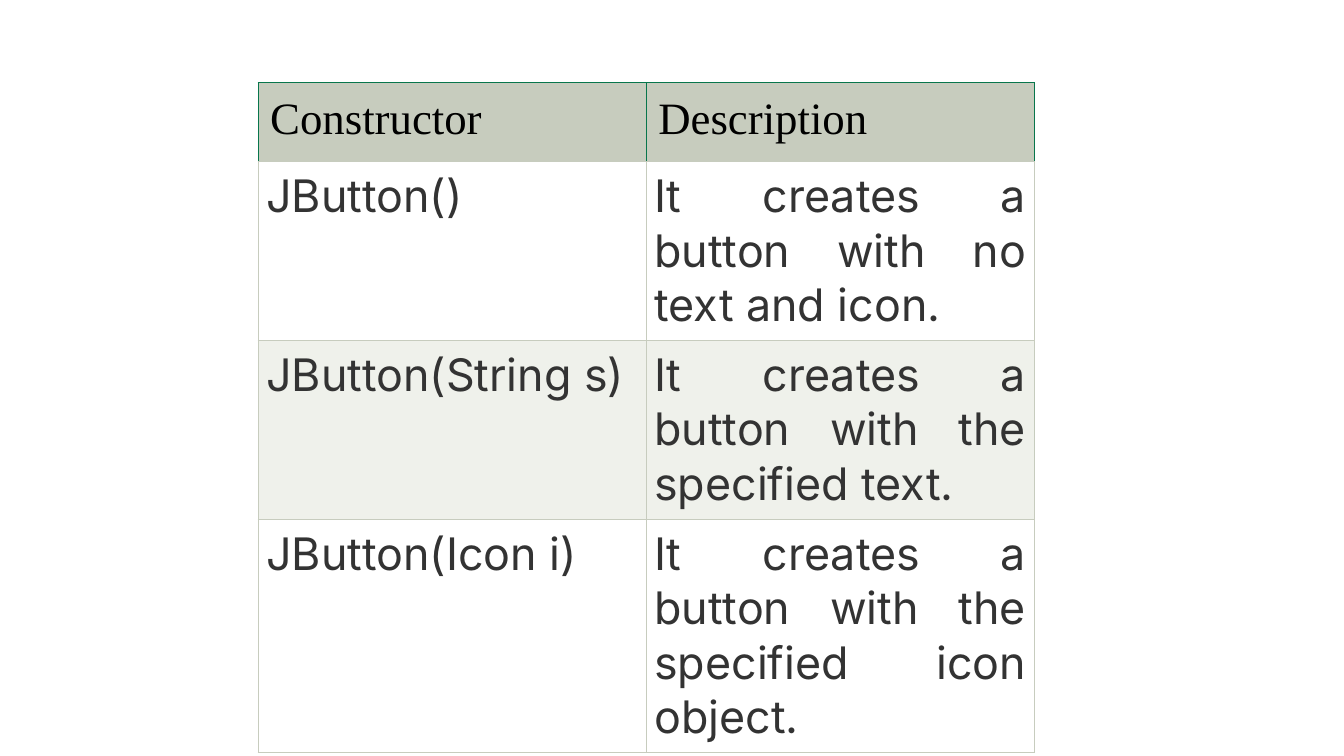
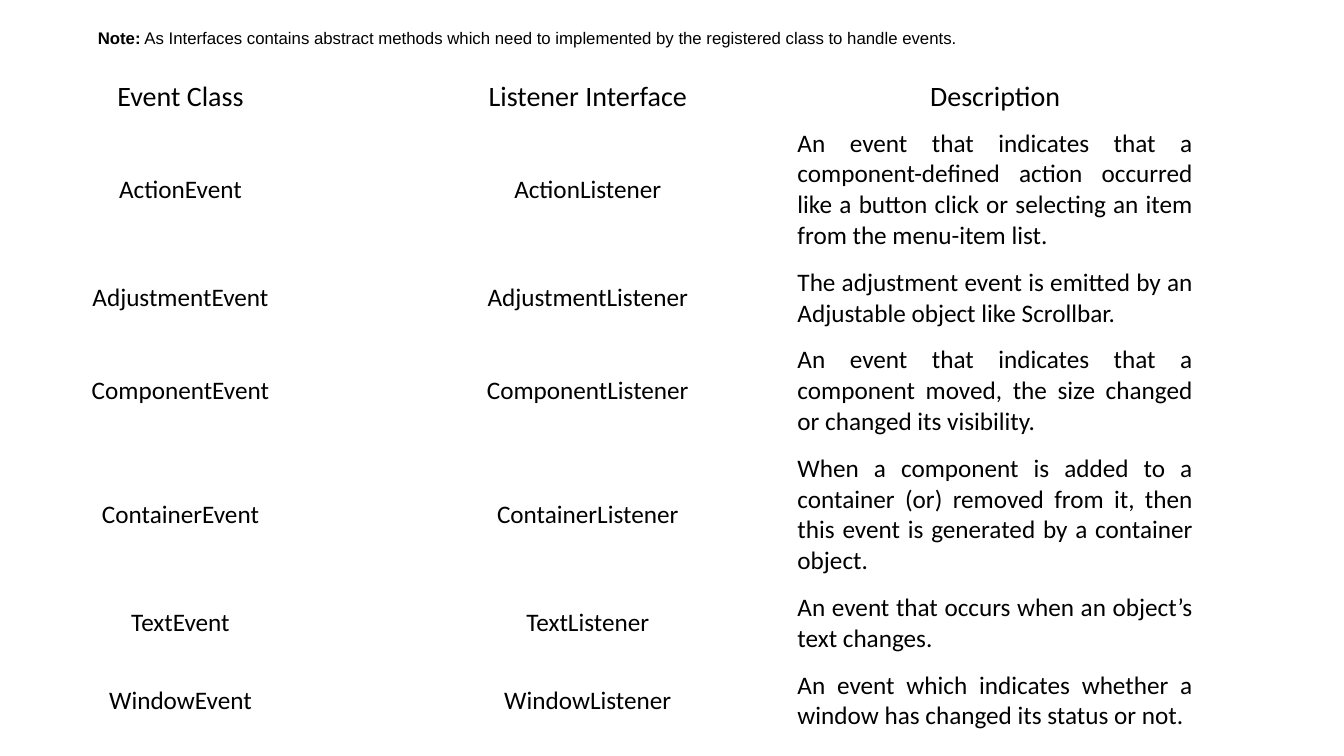
from lxml.etree import SubElement
from pptx import Presentation
from pptx.dml.color import RGBColor
from pptx.enum.text import MSO_ANCHOR, PP_ALIGN
from pptx.oxml.ns import qn
from pptx.util import Inches, Pt

COLORS = {
    "black": "000000",
    "body": "333333",
    "sage": "C7CCBE",
    "green": "08764C",
    "white": "FFFFFF",
    "band": "EFF1EB",
}


def add_table(slide, left, top, col_width, heights, rows):
    cols = len(rows[0])
    tbl = slide.shapes.add_table(
        len(rows), cols, Inches(left), Inches(top),
        Inches(col_width * cols), Inches(sum(heights))).table
    tbl.first_row = tbl.horz_banding = False
    for col in tbl.columns:
        col.width = Inches(col_width)
    for row, height, texts in zip(tbl.rows, heights, rows):
        row.height = Inches(height)
        for cell, text in zip(row.cells, texts):
            cell.text_frame.text = text
    return tbl


def style_cell(cell, font, size, color, align, inset_x, inset_y, fill=None, borders=()):
    cell.margin_left = cell.margin_right = Inches(inset_x)
    cell.margin_top = cell.margin_bottom = Inches(inset_y)
    p = cell.text_frame.paragraphs[0]
    p.alignment = align
    f = p.runs[0].font
    f.name, f.size, f.bold = font, Pt(size), False
    f.color.rgb = RGBColor.from_string(COLORS[color])
    tcPr = cell._tc.get_or_add_tcPr()
    for side, border in zip(("lnL", "lnR", "lnT", "lnB"), borders):
        ln = SubElement(tcPr, qn(f"a:{side}"), w=str(Pt(0.75)))
        SubElement(SubElement(ln, qn("a:solidFill")), qn("a:srgbClr"), val=COLORS[border])
    if fill:
        cell.fill.solid()
        cell.fill.fore_color.rgb = RGBColor.from_string(COLORS[fill])
    else:
        cell.fill.background()


prs = Presentation()
prs.slide_width, prs.slide_height = Inches(13.33), Inches(7.5)
blank = prs.slide_layouts[6]

constructors = [
    ("Constructor", "Description"),
    ("JButton()", "It creates a button with no text and icon."),
    ("JButton(String s)", "It creates a button with the specified text."),
    ("JButton(Icon i)", "It creates a button with the specified icon object."),
]
s = prs.slides.add_slide(blank)
tbl = add_table(s, 2.56, 0.82, 3.85, [0.78, 1.76, 1.76, 2.3], constructors)
for i, row in enumerate(tbl.rows):
    for cell in row.cells:
        if i == 0:
            style_cell(cell, "Times New Roman", 32, "black", PP_ALIGN.LEFT, 0.12, 0.12,
                       "sage", ("green", "green", "green", "sage"))
        else:
            style_cell(cell, "Inter", 32, "body", PP_ALIGN.JUSTIFY, 0.08, 0.08,
                       "white" if i % 2 else "band", ("sage",) * 4)

events = [
    ("Action", "An event that indicates that a component-defined action occurred "
               "like a button click or selecting an item from the menu-item list."),
    ("Adjustment", "The adjustment event is emitted by an Adjustable object like Scrollbar."),
    ("Component", "An event that indicates that a component moved, the size changed "
                  "or changed its visibility."),
    ("Container", "When a component is added to a container (or) removed from it, then "
                  "this event is generated by a container object."),
    ("Text", "An event that occurs when an object’s text changes."),
    ("Window", "An event which indicates whether a window has changed its status or not."),
]
listeners = [("Event Class", "Listener Interface", "Description")]
listeners += [(f"{name}Event", f"{name}Listener", text) for name, text in events]
s = prs.slides.add_slide(blank)
tbl = add_table(s, -0.23, 0.73, 4.04, [0.45, 1.38, 0.77, 1.07, 1.38, 0.77, 0.77], listeners)
for i, row in enumerate(tbl.rows):
    for j, cell in enumerate(row.cells):
        align = PP_ALIGN.JUSTIFY if i and j == 2 else PP_ALIGN.CENTER
        style_cell(cell, "Calibri", 18 if i else 20, "black", align, 0.06, 0.08 if i else 0.06)
        cell.vertical_anchor = MSO_ANCHOR.MIDDLE

tf = s.shapes.add_textbox(Inches(0.97), Inches(0.13), Inches(11.4), Inches(0.5)).text_frame
tf.word_wrap = True
tf.vertical_anchor = MSO_ANCHOR.MIDDLE
tf.margin_left = tf.margin_right = tf.margin_top = tf.margin_bottom = 0
p = tf.paragraphs[0]
note = " As Interfaces contains abstract methods which need to implemented by the registered class to handle events."
for text, bold in (("Note:", True), (note, False)):
    r = p.add_run()
    r.text = text
    r.font.name, r.font.size, r.font.bold = "Arial", Pt(12), bold
    r.font.color.rgb = RGBColor.from_string(COLORS["black"])

prs.save("out.pptx")
